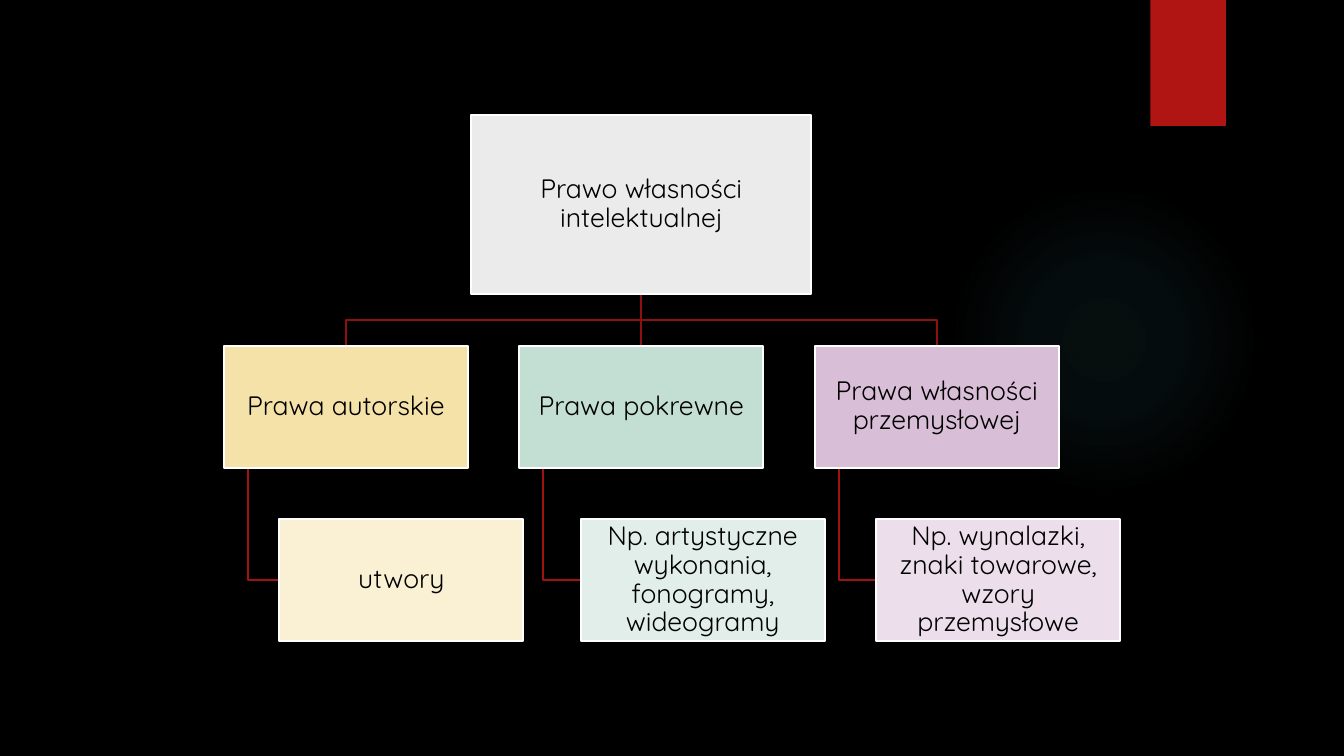
from dataclasses import dataclass

import pptx
import pptx.dml.color
import pptx.enum.shapes
import pptx.enum.text
import pptx.oxml
import pptx.oxml.ns
import pptx.util
from pptx.util import Inches

FONT = "Quicksand"
CENTER_X = 6.36
ROOT_TOP, ROOT_WIDTH, ROOT_HEIGHT = 1.14, 3.37, 1.78
BOX_WIDTH, BOX_HEIGHT = 2.42, 1.21
BRANCH_TOP, BRANCH_STEP = 3.43, 2.93
DETAIL_TOP = 5.15
STEM_INSET = 0.24
ROOT_LINE, DETAIL_LINE = "8D110F", "A01311"


@dataclass
class Branch:
    label: str
    fill: str
    detail: str
    detail_fill: str
    detail_indent: float


BRANCHES = [
    Branch("Prawa autorskie", "F5E2A9", "utwory", "FAF1D4", 0.55),
    Branch("Prawa pokrewne", "C3DED3",
           "Np. artystyczne wykonania, fonogramy, wideogramy", "E1EEE9", 0.61),
    Branch("Prawa własności przemysłowej", "D9BED7",
           "Np. wynalazki, znaki towarowe, wzory przemysłowe", "ECDFEB", 0.61),
]


def color(value: str) -> pptx.dml.color.RGBColor:
    return pptx.dml.color.RGBColor.from_string(value)


def add_plain_shape(slide, kind, left: float, top: float, width: float, height: float):
    """Add a preset shape without shadow or outline."""
    shape = slide.shapes.add_shape(
        kind, Inches(left), Inches(top), Inches(width), Inches(height))
    shape.shadow.inherit = False
    shape.line.fill.background()
    return shape


def add_glow(slide) -> None:
    shape = add_plain_shape(
        slide, pptx.enum.shapes.MSO_SHAPE.OVAL, 9.41, 1.83, 3.08, 3.08)
    shape.fill.background()
    stops = "".join(
        f'<a:gs pos="{position * 1000}"><a:srgbClr val="50B9C1">'
        f'<a:alpha val="{alpha * 1000}"/></a:srgbClr></a:gs>'
        for position, alpha in [(0, 7), (36, 6), (69, 0)])
    gradient = pptx.oxml.parse_xml(
        f'<a:gradFill {pptx.oxml.ns.nsdecls("a")}><a:gsLst>{stops}</a:gsLst>'
        '<a:path path="circle"><a:fillToRect l="50000" t="50000" r="50000" b="50000"/>'
        '</a:path></a:gradFill>')
    properties = shape.element.spPr
    properties.replace(properties.find(pptx.oxml.ns.qn("a:noFill")), gradient)


def add_box(slide, text: str, fill: str, left: float, top: float,
            width: float = BOX_WIDTH, height: float = BOX_HEIGHT) -> None:
    shape = add_plain_shape(
        slide, pptx.enum.shapes.MSO_SHAPE.RECTANGLE, left, top, width, height)
    shape.fill.solid()
    shape.fill.fore_color.rgb = color(fill)
    shape.line.color.rgb = color("FFFFFF")
    shape.line.width = pptx.util.Pt(1.5)
    frame = shape.text_frame
    frame.word_wrap = True
    frame.vertical_anchor = pptx.enum.text.MSO_ANCHOR.MIDDLE
    frame.margin_left = frame.margin_right = Inches(0.01)
    frame.margin_top = frame.margin_bottom = Inches(0.01)
    paragraph = frame.paragraphs[0]
    paragraph.text = text
    paragraph.alignment = pptx.enum.text.PP_ALIGN.CENTER
    paragraph.line_spacing = 0.9
    paragraph.font.name = FONT
    paragraph.font.size = pptx.util.Pt(19)
    paragraph.font.color.rgb = color("000000")


def add_link(slide, points: list[tuple[float, float]], line: str) -> None:
    """Draw a straight connector for two points, else an open bent line."""
    corners = [(Inches(x), Inches(y)) for x, y in points]
    if len(corners) == 2:
        link = slide.shapes.add_connector(
            pptx.enum.shapes.MSO_CONNECTOR.STRAIGHT, *corners[0], *corners[1])
        link.element.spPr.append(pptx.oxml.parse_xml(
            f'<a:effectLst {pptx.oxml.ns.nsdecls("a")}/>'))
    else:
        builder = slide.shapes.build_freeform(*corners[0])
        builder.add_line_segments(corners[1:], close=False)
        link = builder.convert_to_shape()
        link.fill.background()
        link.shadow.inherit = False
    link.line.color.rgb = color(line)
    link.line.width = pptx.util.Pt(1.5)


def add_branch(slide, branch: Branch, offset: int) -> None:
    """Draw a branch, its detail and their links, offset in steps from the centre."""
    center = CENTER_X + offset * BRANCH_STEP
    left = center - BOX_WIDTH / 2
    detail_left = left + branch.detail_indent
    root_bottom = ROOT_TOP + ROOT_HEIGHT
    bend = (root_bottom + BRANCH_TOP) / 2
    bends = [(CENTER_X, bend), (center, bend)] if offset else []
    add_link(slide, [(CENTER_X, root_bottom), *bends, (center, BRANCH_TOP)], ROOT_LINE)
    stem = left + STEM_INSET
    detail_middle = DETAIL_TOP + BOX_HEIGHT / 2
    add_link(slide, [(stem, BRANCH_TOP + BOX_HEIGHT), (stem, detail_middle),
                     (detail_left, detail_middle)], DETAIL_LINE)
    add_box(slide, branch.label, branch.fill, left, BRANCH_TOP)
    add_box(slide, branch.detail, branch.detail_fill, detail_left, DETAIL_TOP)


def main() -> None:
    presentation = pptx.Presentation()
    presentation.slide_width = Inches(13.33)
    presentation.slide_height = Inches(7.5)
    slide = presentation.slides.add_slide(presentation.slide_layouts[6])
    slide.background.fill.solid()
    slide.background.fill.fore_color.rgb = color("000000")

    add_glow(slide)
    ribbon = add_plain_shape(
        slide, pptx.enum.shapes.MSO_SHAPE.RECTANGLE, 11.41, 0, 0.75, 1.25)
    ribbon.fill.solid()
    ribbon.fill.fore_color.rgb = color("B01513")

    for offset, branch in enumerate(BRANCHES, start=-1):
        add_branch(slide, branch, offset)
    add_box(slide, "Prawo własności intelektualnej", "EBEBEB",
            CENTER_X - ROOT_WIDTH / 2, ROOT_TOP, ROOT_WIDTH, ROOT_HEIGHT)
    presentation.save("out.pptx")


if __name__ == "__main__":
    main()
